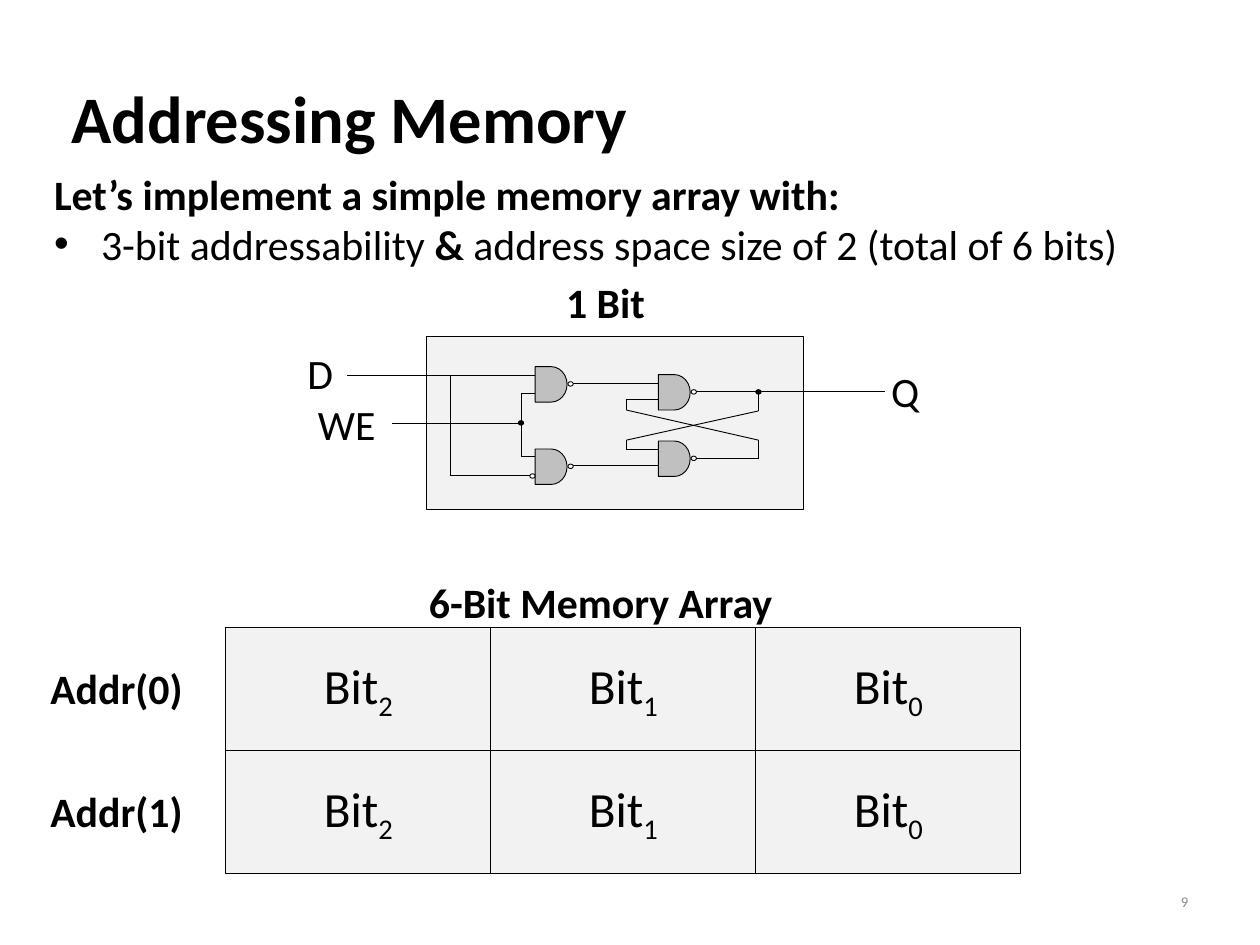
from itertools import pairwise
from lxml.etree import SubElement
from pptx import Presentation
from pptx.dml.color import RGBColor
from pptx.enum.shapes import MSO_CONNECTOR as Connector, MSO_SHAPE as Shape
from pptx.enum.text import MSO_ANCHOR as Anchor, PP_ALIGN as Align
from pptx.oxml.ns import qn
from pptx.util import Inches, Pt

BLACK = RGBColor(0x00, 0x00, 0x00)
WHITE = RGBColor(0xFF, 0xFF, 0xFF)
PALE = RGBColor(0xF2, 0xF2, 0xF2)
SILVER = RGBColor(0xC0, 0xC0, 0xC0)
GRAY = RGBColor(0x8C, 0x8C, 0x8C)
FONT = "Calibri"
LINE_WIDTH = Pt(0.75)
BODY_SIZE = 34
SMALL_INSET = (0.1, 0.05)
WIDE_INSET = (0.14, 0.07)

TITLE = "Addressing Memory"
INTRO = "Let’s implement a simple memory array with:"
BULLET_RUNS = [
    ("3-bit addressability ", False),
    ("&", True),
    (" address space size of 2 (total of 6 bits)", False),
]
PAGE_NUMBER = "9"

LABELS = [
    ("D", (3.37, 3.88, 0.5, 0.67), False, SMALL_INSET),
    ("Q", (9.96, 4.08, 0.54, 0.67), False, SMALL_INSET),
    ("WE", (3.49, 4.45, 0.86, 0.67), False, SMALL_INSET),
    ("1 Bit", (6.29, 3.07, 1.1, 0.67), True, SMALL_INSET),
    ("6-Bit Memory Array", (4.7, 6.44, 4.23, 0.72), True, WIDE_INSET),
]

LATCH_BOX = (4.81, 3.8, 4.26, 1.95)
WIRES = [
    [(3.92, 4.24), (6.04, 4.24)],
    [(5.08, 4.24), (5.08, 5.37), (5.98, 5.37)],
    [(4.42, 4.78), (5.88, 4.78)],
    [(6.04, 4.44), (5.88, 4.44), (5.88, 5.15), (6.04, 5.15)],
    [(6.46, 4.33), (7.43, 4.33)],
    [(6.46, 5.26), (7.43, 5.26)],
    [(7.85, 4.42), (9.99, 4.42)],
    [(7.43, 4.51), (7.07, 4.51), (7.07, 4.63), (8.56, 4.97), (8.56, 5.18), (7.85, 5.18)],
    [(7.43, 5.08), (7.07, 5.08), (7.07, 4.97), (8.56, 4.64), (8.56, 4.42)],
]
GATES = [(6.04, 4.14), (6.04, 5.07), (7.43, 4.23), (7.43, 4.98)]
GATE_SIZE = (0.36, 0.4)
BUBBLE_OFFSET = (0.37, 0.17)
INPUT_BUBBLE = (5.98, 5.35)
JUNCTIONS = [(5.85, 4.75), (8.53, 4.4)]
DOT_SIZE = (0.06, 0.05)

ADDRESSES = ["Addr(0)", "Addr(1)"]
BITS = ["2", "1", "0"]
ARRAY_LEFT, ARRAY_TOP = 2.55, 7.08
CELL_WIDTH, CELL_HEIGHT = 2.99, 1.39
ADDRESS_LEFT, ADDRESS_WIDTH, ADDRESS_HEIGHT = 0.43, 1.8, 0.72

deck = Presentation()
deck.slide_width, deck.slide_height = Inches(14.22), Inches(10.67)
page = deck.slides.add_slide(deck.slide_layouts[6])


def inches(values):
    return [Inches(value) for value in values]


def add_run(para, text, size=BODY_SIZE, bold=False, color=BLACK):
    span = para.add_run()
    span.text = text
    span.font.name = FONT
    span.font.size = Pt(size)
    span.font.bold = bold
    span.font.color.rgb = color
    return span


def set_frame(frame, inset, anchor, wrap=True):
    frame.margin_left = frame.margin_right = Inches(inset[0])
    frame.margin_top = frame.margin_bottom = Inches(inset[1])
    frame.vertical_anchor = anchor
    frame.word_wrap = wrap
    return frame


def add_box(bounds, inset=SMALL_INSET, anchor=Anchor.TOP, wrap=False):
    box = page.shapes.add_textbox(*inches(bounds))
    return set_frame(box.text_frame, inset, anchor, wrap)


def add_figure(kind, bounds, fill):
    figure = page.shapes.add_shape(kind, *inches(bounds))
    figure.shadow.inherit = False
    figure.fill.solid()
    figure.fill.fore_color.rgb = fill
    figure.line.color.rgb = BLACK
    figure.line.width = LINE_WIDTH
    return figure


def add_wire(start, end):
    wire = page.shapes.add_connector(Connector.STRAIGHT, *inches(start + end))
    wire.line.color.rgb = BLACK
    wire.line.width = LINE_WIDTH
    SubElement(wire._element.spPr, qn("a:effectLst"))


def add_bullet(para):
    properties = para._p.get_or_add_pPr()
    properties.set("marL", str(Inches(0.53)))
    properties.set("indent", str(-Inches(0.53)))
    SubElement(properties, qn("a:buFont"), typeface="Arial")
    SubElement(properties, qn("a:buChar"), char="•")


title = add_box((0.71, 0.43, 12.8, 1.78), anchor=Anchor.MIDDLE, wrap=True)
add_run(title.paragraphs[0], TITLE, 54, True)

intro = add_box((0.47, 1.83, 12.42, 1.29), WIDE_INSET)
add_run(intro.paragraphs[0], INTRO, bold=True)
bullet = intro.add_paragraph()
add_bullet(bullet)
for text, bold in BULLET_RUNS:
    add_run(bullet, text, bold=bold)

add_figure(Shape.RECTANGLE, LATCH_BOX, PALE)
for points in WIRES:
    for start, end in pairwise(points):
        add_wire(start, end)
for left, top in GATES:
    add_figure(Shape.FLOWCHART_DELAY, (left, top, *GATE_SIZE), SILVER)
bubbles = [(left + BUBBLE_OFFSET[0], top + BUBBLE_OFFSET[1]) for left, top in GATES]
for centers, fill in ((bubbles + [INPUT_BUBBLE], WHITE), (JUNCTIONS, BLACK)):
    for corner in centers:
        add_figure(Shape.OVAL, (*corner, *DOT_SIZE), fill)

for text, bounds, bold, inset in LABELS:
    add_run(add_box(bounds, inset).paragraphs[0], text, bold=bold)

for row, address in enumerate(ADDRESSES):
    top = ARRAY_TOP + row * CELL_HEIGHT
    label_top = top + (CELL_HEIGHT - ADDRESS_HEIGHT) / 2
    label = add_box((ADDRESS_LEFT, label_top, ADDRESS_WIDTH, ADDRESS_HEIGHT), WIDE_INSET)
    add_run(label.paragraphs[0], address, bold=True)
    for column, bit in enumerate(BITS):
        left = ARRAY_LEFT + column * CELL_WIDTH
        cell = add_figure(Shape.RECTANGLE, (left, top, CELL_WIDTH, CELL_HEIGHT), PALE)
        para = set_frame(cell.text_frame, WIDE_INSET, Anchor.MIDDLE).paragraphs[0]
        para.alignment = Align.CENTER
        add_run(para, "Bit", 40)
        subscript = add_run(para, bit, 40)
        subscript.font._element.set("baseline", "-25000")

number = add_box((10.19, 9.89, 3.32, 0.57), anchor=Anchor.MIDDLE, wrap=True).paragraphs[0]
number.alignment = Align.RIGHT
add_run(number, PAGE_NUMBER, 12, color=GRAY)

deck.save("out.pptx")
